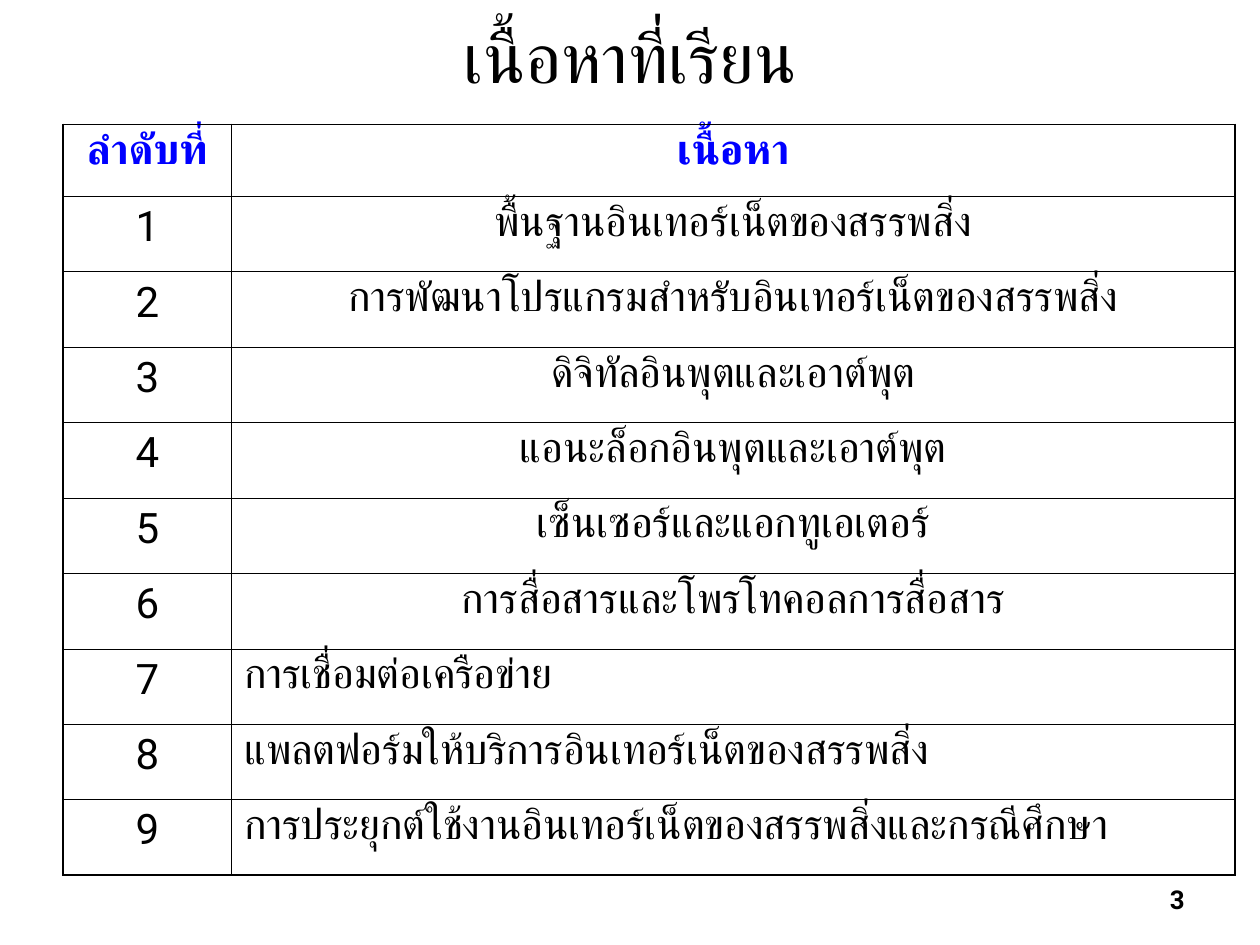
"""Build a course outline slide with a numbered table of topics."""
import pptx
import pptx.dml.color
import pptx.enum.text
import pptx.oxml
import pptx.oxml.ns
import pptx.util
from pptx.util import Cm, Pt

TITLE = "เนื้อหาที่เรียน"
HEADERS = ("ลำดับที่", "เนื้อหา")
CENTRED_TOPICS = [
    "พื้นฐานอินเทอร์เน็ตของสรรพสิ่ง",
    "การพัฒนาโปรแกรมสำหรับอินเทอร์เน็ตของสรรพสิ่ง",
    "ดิจิทัลอินพุตและเอาต์พุต",
    "แอนะล็อกอินพุตและเอาต์พุต",
    "เซ็นเซอร์และแอกทูเอเตอร์",
    "การสื่อสารและโพรโทคอลการสื่อสาร",
]
LEFT_TOPICS = [
    "การเชื่อมต่อเครือข่าย",
    "แพลตฟอร์มให้บริการอินเทอร์เน็ตของสรรพสิ่ง",
    "การประยุกต์ใช้งานอินเทอร์เน็ตของสรรพสิ่งและกรณีศึกษา",
]
PAGE_NUMBER = "3"

COLORS = {"text": "000000", "header": "0000FF", "border": "000000"}
COLUMN_WIDTHS = (3.4, 20.22)
HEADER_HEIGHT, ROW_HEIGHT = 1.45, 1.52
OUTER_BORDER, INNER_BORDER = 1.08, 0.45
ALIGN = pptx.enum.text.PP_ALIGN
MIDDLE = pptx.enum.text.MSO_ANCHOR.MIDDLE


def write(frame, text, size, font="Roboto", color="text", bold=False, align=ALIGN.CENTER):
    paragraph = frame.paragraphs[0]
    paragraph.alignment = align
    run = paragraph.add_run()
    run.text = text
    run.font.name = font
    run.font.size = Pt(size)
    run.font.bold = bold
    run.font.color.rgb = pptx.dml.color.RGBColor.from_string(COLORS[color])
    return paragraph


def add_text(slide, box, text, size, **style):
    frame = slide.shapes.add_textbox(*map(Cm, box)).text_frame
    frame.word_wrap = True
    frame.vertical_anchor = MIDDLE
    return write(frame, text, size, **style)


def set_borders(cell, outer_sides):
    properties = cell._tc.get_or_add_tcPr()
    for side in "LRTB":
        width = Pt(OUTER_BORDER if side in outer_sides else INNER_BORDER)
        properties.append(pptx.oxml.parse_xml(
            f'<a:ln{side} {pptx.oxml.ns.nsdecls("a")} w="{int(width)}"><a:solidFill>'
            f'<a:srgbClr val="{COLORS["border"]}"/></a:solidFill></a:ln{side}>'))


def add_topic_table(slide):
    topics = CENTRED_TOPICS + LEFT_TOPICS
    rows = [HEADERS] + [(str(number), topic) for number, topic in enumerate(topics, 1)]
    heights = [HEADER_HEIGHT] + [ROW_HEIGHT] * len(topics)
    table = slide.shapes.add_table(
        len(rows), len(HEADERS), Cm(1.27), Cm(2.51),
        Cm(sum(COLUMN_WIDTHS)), Cm(sum(heights))).table
    table.first_row = table.horz_banding = False
    for column, width in zip(table.columns, COLUMN_WIDTHS):
        column.width = Cm(width)
    for row_index, (values, height) in enumerate(zip(rows, heights)):
        table.rows[row_index].height = Cm(height)
        is_header = row_index == 0
        vertical_side = "T" if is_header else "B" if row_index == len(topics) else ""
        for column_index, text in enumerate(values):
            cell = table.cell(row_index, column_index)
            set_borders(cell, "LR"[column_index] + vertical_side)
            cell.fill.background()
            write(cell.text_frame, text, 24, bold=is_header,
                  color="header" if is_header else "text",
                  align=ALIGN.LEFT if text in LEFT_TOPICS else ALIGN.CENTER)


def main():
    presentation = pptx.Presentation()
    presentation.slide_width, presentation.slide_height = Cm(25.4), Cm(19.05)
    slide = presentation.slides.add_slide(presentation.slide_layouts[6])
    add_text(slide, (1.27, -0.08, 22.86, 2.39), TITLE, 40, font="Calibri")
    add_topic_table(slide)
    number = add_text(slide, (18.21, 17.65, 5.92, 1.02), PAGE_NUMBER, 14.8,
                      bold=True, align=ALIGN.RIGHT)
    number.line_spacing = 0.9
    presentation.save("out.pptx")


if __name__ == "__main__":
    main()
